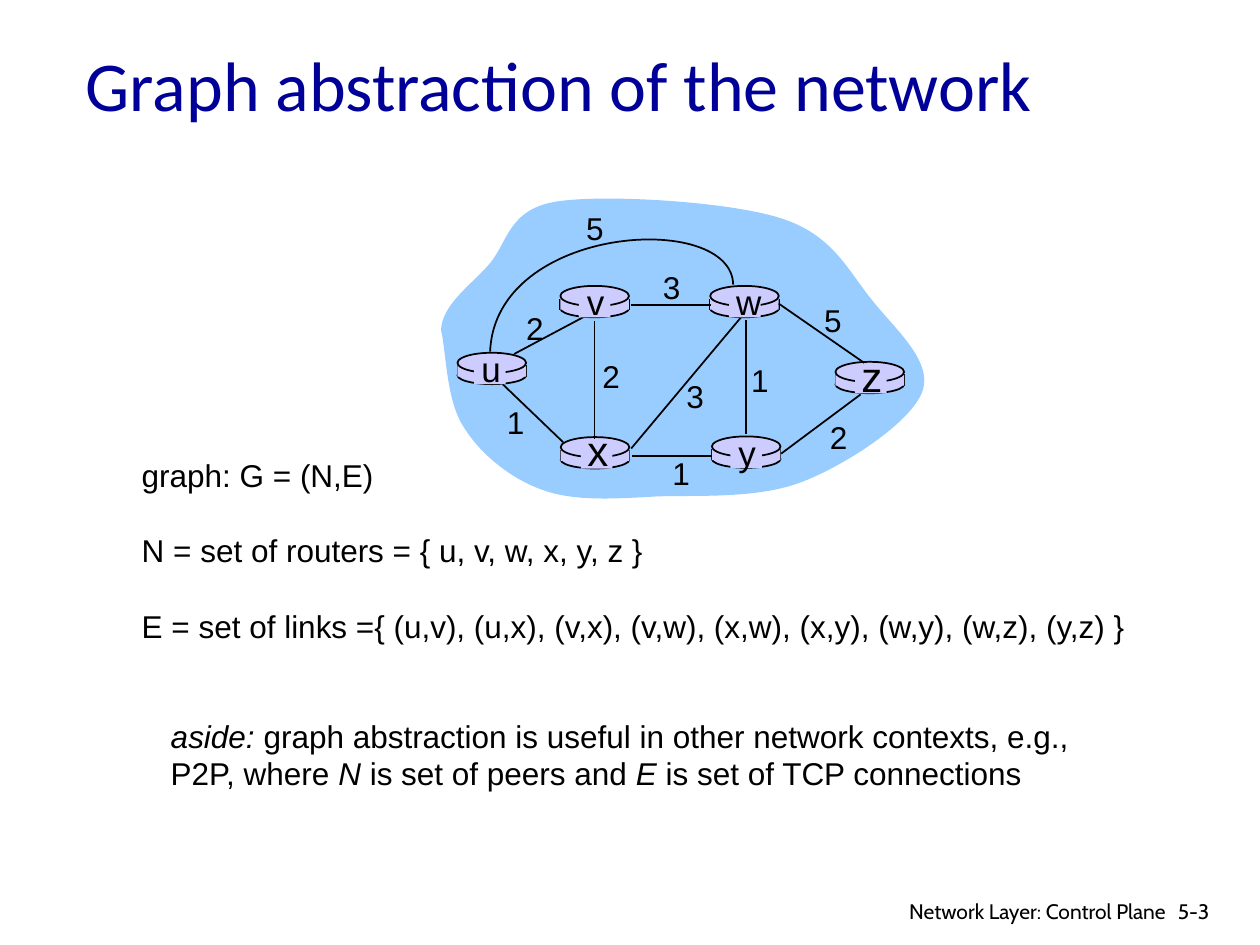
from dataclasses import dataclass

import pptx
import pptx.dml.color
import pptx.enum.shapes
import pptx.enum.text
import pptx.oxml.ns
import pptx.util
from lxml import etree

Pt = pptx.util.Pt
RGBColor = pptx.dml.color.RGBColor
Shape = pptx.enum.shapes.MSO_SHAPE
Align = pptx.enum.text.PP_ALIGN
Anchor = pptx.enum.text.MSO_ANCHOR
Fit = pptx.enum.text.MSO_AUTO_SIZE
qn = pptx.oxml.ns.qn

BLACK = RGBColor(0x00, 0x00, 0x00)
NAVY = RGBColor(0x00, 0x00, 0x99)
SKY = RGBColor(0x99, 0xCC, 0xFF)
LILAC = RGBColor(0xCC, 0xCC, 0xFF)

WIDE = 39.2  # width of a router
LID = 11.5   # height of a router's lid
LEAD = 1.2   # line pitch of Arial text

Point = tuple[float, float]
Run = tuple[str, bool]  # text, italic


@dataclass
class Router:
    name: str
    left: float
    top: float
    spot: Point  # centre of the name
    size: float = 20


@dataclass
class Link:
    start: Point
    end: Point
    cost: str
    spot: Point  # centre of the cost label


ROUTERS = [
    Router("u", 261.4, 201.6, (280.6, 210.6)),
    Router("x", 320.4, 249.8, (341.6, 257), 24),
    Router("v", 320.2, 163.4, (340.4, 172.4)),
    Router("w", 405.8, 163.4, (426.2, 172.4)),
    Router("y", 406.8, 249.4, (427, 258.5)),
    Router("z", 477.4, 206.8, (498.2, 214.6), 24),
]
BACK_LINK = Link((293.8, 202.3), (337, 179.3), "2", (305.6, 187.2))
LINKS = [
    Link((426.2, 182.9), (426.2, 248), "1", (434.2, 217)),
    Link((339.8, 183.6), (339.8, 250.6), "2", (349.2, 214.6)),
    Link((360.7, 256.3), (423.4, 181.4), "3", (397.2, 226.1)),
    Link((446.4, 259.2), (491.8, 225.4), "2", (479.2, 249.8)),
    Link((406.8, 260.4), (361.4, 260.4), "1", (389.2, 270.6)),
    Link((321.8, 252.7), (287.3, 219.6), "1", (294.7, 241.2)),
    Link((406.1, 174.2), (360.7, 174.2), "3", (383.8, 164.2)),
    Link((493.9, 207.4), (445, 173.5), "5", (475.9, 182.9)),
]
# Each curve is a start point, then two handles and an end point per piece.
CLOUD = [
    (252, 188.6),
    (252.7, 174.2), (268.6, 163.4), (279.4, 151.2),
    (290.2, 139), (290.2, 119.5), (318.2, 115.2),
    (345.6, 110.9), (416.2, 115.2), (445.7, 124.6),
    (475.9, 133.9), (484.6, 154.8), (498.2, 171.4),
    (511.2, 187.9), (533.5, 206.6), (527, 223.9),
    (520.6, 241.2), (484.6, 265), (459.4, 275),
    (434.2, 285.1), (401, 283), (375.8, 283.7),
    (351.4, 285.1), (328.3, 286.6), (310.3, 280.1),
    (291.6, 273.6), (274.3, 259.2), (265, 244.1),
    (254.9, 229), (254.9, 200.2), (252, 188.6),
]
ARC = [(419, 162.7), (418.3, 120.2), (283, 128.2), (280.1, 200.9)]
ARC_COST = ("5", (340, 130.6))

FACTS = [
    "graph: G = (N,E)",
    "N = set of routers = { u, v, w, x, y, z }",
    "E = set of links ={ (u,v), (u,x), (v,x), (v,w), (x,w), (x,y), (w,y), (w,z), (y,z) }",
]
ASIDE = [
    [("aside:", True),
     (" graph abstraction is useful in other network contexts, e.g.,", False)],
    [("P2P, where ", False), ("N", True), (" is set of peers and ", False),
     ("E", True), (" is set of TCP connections", False)],
]


def paint(shape, fill: RGBColor | None, line: RGBColor | None) -> None:
    shape.shadow.inherit = False
    if fill is None:
        shape.fill.background()
    else:
        shape.fill.solid()
        shape.fill.fore_color.rgb = fill
    if line is None:
        shape.line.fill.background()
    else:
        shape.line.color.rgb = line
        shape.line.width = Pt(1)


def add_part(shapes, kind, left: float, top: float, width: float, height: float,
             line: RGBColor | None = None) -> None:
    """Add one lilac piece of a router."""
    part = shapes.add_shape(kind, Pt(left), Pt(top), Pt(width), Pt(height))
    paint(part, LILAC, line)


def add_line(shapes, start: Point, end: Point) -> None:
    line = shapes.add_connector(pptx.enum.shapes.MSO_CONNECTOR.STRAIGHT,
                                *(Pt(n) for n in start + end))
    line.line.color.rgb = BLACK
    line.line.width = Pt(1)
    etree.SubElement(line._element.spPr, qn("a:effectLst"))


def add_curve(shapes, nodes: list[Point], fill: RGBColor | None,
              line: RGBColor | None, close: bool) -> None:
    """Build an outline, then turn every three straight pieces into one cubic."""
    first, *rest = [(Pt(x), Pt(y)) for x, y in nodes]
    pen = shapes.build_freeform(*first)
    pen.add_line_segments(rest, close=close)
    shape = pen.convert_to_shape()
    paint(shape, fill, line)
    sides = list(shape._element.iter(qn("a:lnTo")))
    for i in range(0, len(sides), 3):
        cubic = sides[i].makeelement(qn("a:cubicBezTo"))
        sides[i].addprevious(cubic)
        for side in sides[i:i + 3]:
            cubic.append(side[0])
            side.getparent().remove(side)


def add_text(shapes, box: tuple[float, float, float, float], paras: list[list[Run]],
             size: float, font: str = "Arial", color: RGBColor = BLACK,
             align=Align.LEFT, anchor=Anchor.TOP, lead: float | None = LEAD,
             gap: float = 0, grow: bool = True) -> None:
    frame = shapes.add_textbox(*(Pt(n) for n in box)).text_frame
    frame.word_wrap = not grow
    frame.auto_size = Fit.SHAPE_TO_FIT_TEXT if grow else Fit.NONE
    frame.vertical_anchor = anchor
    for i, runs in enumerate(paras):
        para = frame.add_paragraph() if i else frame.paragraphs[0]
        para.alignment = align
        if lead:
            para.line_spacing = Pt(size * lead)
        if i and gap:
            para.space_before = Pt(gap)
        for words, slant in runs:
            run = para.add_run()
            run.text = words
            run.font.name = font
            run.font.size = Pt(size)
            run.font.color.rgb = color
            run.font.italic = slant


def add_label(shapes, words: str, spot: Point, size: float = 18) -> None:
    """Add a short text with its centre at the spot."""
    width, height = size * 0.4 + 17.2, size * LEAD + 7.2
    box = (spot[0] - width / 2, spot[1] - height / 2, width, height)
    add_text(shapes, box, [[(words, False)]], size, align=Align.CENTER)


def add_router(shapes, router: Router) -> None:
    x, y = router.left, router.top
    add_part(shapes, Shape.OVAL, x, y + 7.9, WIDE, 10, BLACK)
    for side in (x, x + WIDE):
        add_line(shapes, (side, y + 7.2), (side, y + 13.6))
    add_part(shapes, Shape.RECTANGLE, x, y + 7.2, WIDE, 6.4)
    add_part(shapes, Shape.OVAL, x, y, WIDE, LID, BLACK)


def add_name(shapes, router: Router) -> None:
    add_part(shapes, Shape.RECTANGLE, router.spot[0] - 9.6, router.top + 1.4, 18, 16.6)
    add_label(shapes, router.name, router.spot, router.size)


def main() -> None:
    deck = pptx.Presentation()
    deck.slide_width, deck.slide_height = Pt(720), Pt(540)
    shapes = deck.slides.add_slide(deck.slide_layouts[6]).shapes

    add_curve(shapes, CLOUD, SKY, None, True)
    add_line(shapes, BACK_LINK.start, BACK_LINK.end)
    for router in ROUTERS:
        add_router(shapes, router)
    for link in LINKS:
        add_line(shapes, link.start, link.end)
    add_curve(shapes, ARC, None, BLACK, False)
    for router in ROUTERS:
        add_name(shapes, router)
    for link in [BACK_LINK, *LINKS]:
        add_label(shapes, link.cost, link.spot)
    add_label(shapes, *ARC_COST)

    add_text(shapes, (73.9, 256.8, 582.5, 115.2), [[(fact, False)] for fact in FACTS],
             18, gap=18 * LEAD)
    add_text(shapes, (42, 16.6, 612, 62.6), [[("Graph abstraction of the network", False)]],
             40, "Calibri", NAVY, anchor=Anchor.MIDDLE, lead=None, grow=False)
    add_text(shapes, (90.5, 406, 532.8, 50.4), ASIDE, 18)
    add_text(shapes, (666, 509.8, 43.2, 21.6), [[("5-3", False)]],
             12, "Cabin", lead=None, grow=False)
    add_text(shapes, (502, 509.8, 171.4, 18.7), [[("Network Layer: Control Plane", False)]],
             12, "Cabin", align=Align.RIGHT, lead=None, grow=False)
    deck.save("out.pptx")


if __name__ == "__main__":
    main()
